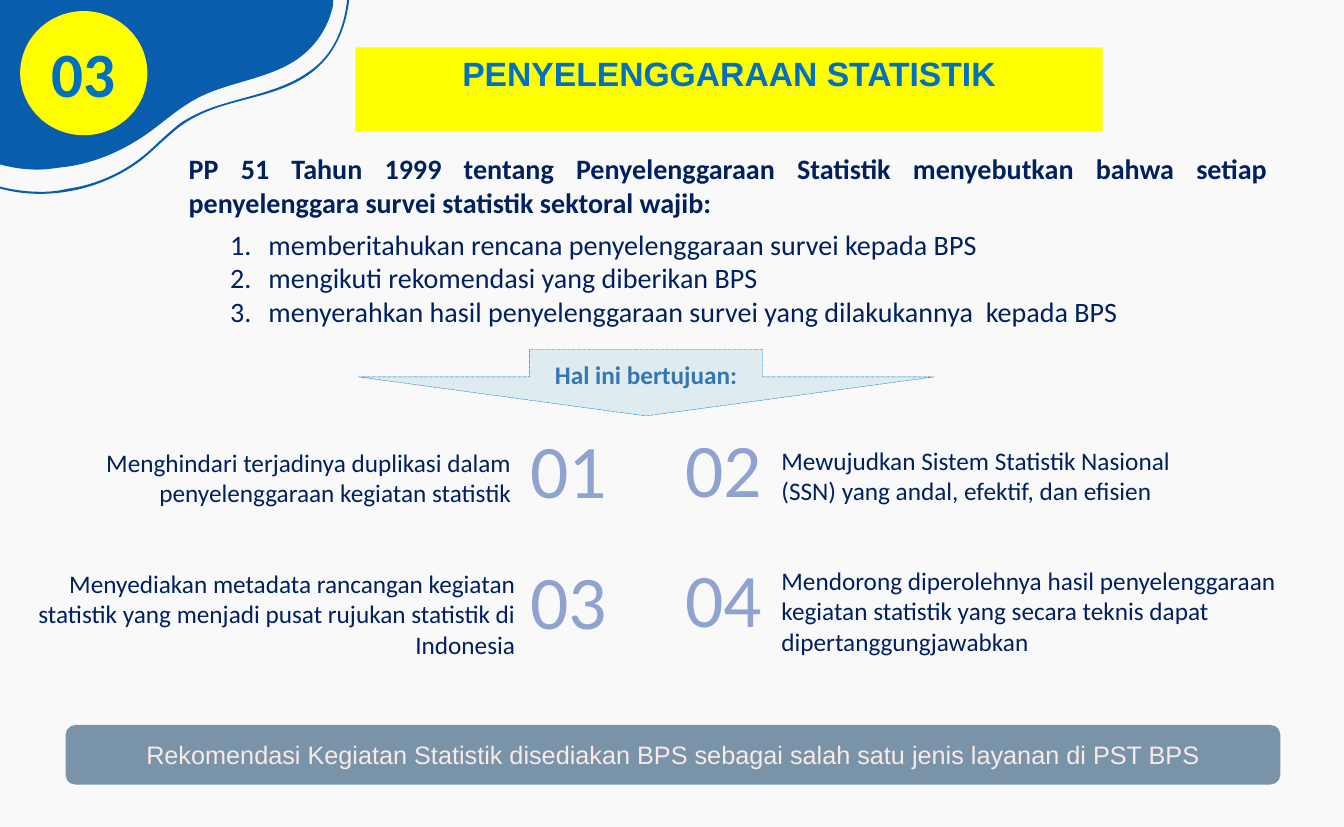
from lxml import etree
from pptx import Presentation
from pptx import util as u
from pptx.dml.color import RGBColor
from pptx.enum import dml, shapes, text
from pptx.oxml.ns import qn

PALE = RGBColor(0xF9, 0xF9, 0xF9)
CORNER_BLUE = RGBColor(0x08, 0x5D, 0xAD)
YELLOW = RGBColor(0xFF, 0xFF, 0x00)
BLUE = RGBColor(0x00, 0x70, 0xC0)
NAVY = RGBColor(0x00, 0x20, 0x60)
ARROW_FILL = RGBColor(0xDE, 0xEC, 0xEF)
ARROW_TEXT = RGBColor(0x34, 0x77, 0xB2)
NUMBER = RGBColor(0x90, 0xA2, 0xCF)
SLATE = RGBColor(0x79, 0x94, 0xA9)
BLUSH = RGBColor(0xF9, 0xE9, 0xE7)

LEFT, CENTER, RIGHT = text.PP_ALIGN.LEFT, text.PP_ALIGN.CENTER, text.PP_ALIGN.RIGHT
TOP, MIDDLE, BOTTOM = text.MSO_ANCHOR.TOP, text.MSO_ANCHOR.MIDDLE, text.MSO_ANCHOR.BOTTOM
FIXED, GROW = text.MSO_AUTO_SIZE.NONE, text.MSO_AUTO_SIZE.SHAPE_TO_FIT_TEXT

CORNER = [(-0.03, -0.02)]
CORNER_EDGE = [
    (-0.03, 1.62), (0.1, 1.66), (0.24, 1.68), (0.38, 1.68), (0.45, 1.68), (0.52, 1.67), (0.59, 1.66),
    (0.9, 1.63), (1.19, 1.51), (1.45, 1.33), (1.62, 1.21), (1.77, 1.07), (1.96, 0.97),
    (2.31, 0.79), (2.75, 0.78), (3.04, 0.51), (3.16, 0.4), (3.25, 0.25), (3.29, 0.09),
    (3.3, 0.06), (3.3, 0.02), (3.3, -0.02)]
RIBBON_INNER = [
    (3.44, -0.02), (3.41, 0.27), (3.31, 0.54), (3.06, 0.71), (2.81, 0.89), (2.5, 0.94), (2.21, 1.03),
    (2.07, 1.07), (1.93, 1.13), (1.8, 1.21), (1.68, 1.3), (1.57, 1.41), (1.46, 1.51),
    (1.24, 1.7), (0.96, 1.83), (0.67, 1.87), (0.59, 1.89), (0.5, 1.9), (0.41, 1.9),
    (0.26, 1.9), (0.11, 1.88), (-0.03, 1.84)]
RIBBON_OUTER = [
    (-0.03, 1.86), (0.11, 1.9), (0.25, 1.92), (0.39, 1.92), (0.73, 1.92), (1.06, 1.82), (1.34, 1.63),
    (1.47, 1.54), (1.57, 1.43), (1.69, 1.33), (1.83, 1.2), (1.99, 1.12), (2.17, 1.06),
    (2.48, 0.96), (2.81, 0.92), (3.07, 0.73), (3.32, 0.55), (3.43, 0.27), (3.46, -0.02)]

INTRO = ("PP 51 Tahun 1999 tentang Penyelenggaraan Statistik menyebutkan bahwa "
         "setiap penyelenggara survei statistik sektoral wajib:")
DUTIES = ["memberitahukan rencana penyelenggaraan survei kepada BPS",
          "mengikuti rekomendasi yang diberikan BPS",
          "menyerahkan hasil penyelenggaraan survei yang dilakukannya  kepada BPS"]
GOALS = [
    ("01", (5.03, 4.33, 1.2, 0.86), (0.62, 4.38, 4.54, 0.71), RIGHT,
     "Menghindari terjadinya duplikasi dalam penyelenggaraan kegiatan statistik"),
    ("02", (6.56, 4.27, 1.21, 0.91), (7.64, 4.36, 4.64, 0.71), LEFT,
     "Mewujudkan Sistem Statistik Nasional (SSN) yang andal, efektif, dan efisien"),
    ("03", (5.03, 5.57, 1.21, 0.91), (0, 5.58, 5.2, 1.01), RIGHT,
     "Menyediakan metadata rancangan kegiatan statistik yang menjadi pusat rujukan statistik di Indonesia"),
    ("04", (6.56, 5.55, 1.21, 0.91), (7.64, 5.55, 5.35, 1.01), LEFT,
     "Mendorong diperolehnya hasil penyelenggaraan kegiatan statistik yang secara teknis "
     "dapat dipertanggungjawabkan"),
]


def inches(place):
    return [u.Inches(value) for value in place]


def set_all(target, values):
    for name, value in values.items():
        setattr(target, name, value)


def paint(shape, color):
    shape.shadow.inherit = False
    shape.fill.solid()
    shape.fill.fore_color.rgb = color
    shape.line.fill.background()


def bend(lines):
    for i in range(0, len(lines), 3):
        curve = etree.Element(qn("a:cubicBezTo"))
        lines[i].addprevious(curve)
        for line in lines[i:i + 3]:
            curve.append(line[0])
            line.getparent().remove(line)


def add_outline(page, *curves):
    start, *rest = [tuple(inches(point)) for curve in curves for point in curve]
    builder = page.shapes.build_freeform(*start)
    builder.add_line_segments(rest, close=True)
    shape = builder.convert_to_shape()
    paint(shape, CORNER_BLUE)
    steps = list(next(shape._element.iter(qn("a:path"))))
    for curve in curves:
        bend(steps[1:len(curve)])
        steps = steps[len(curve):]


def add_shape(page, kind, place, color):
    shape = page.shapes.add_shape(kind, *inches(place))
    paint(shape, color)
    return shape


def prepare(frame, anchor=TOP, inset=0.05, fit=FIXED):
    set_all(frame, {"word_wrap": True, "auto_size": fit, "vertical_anchor": anchor,
                    "margin_left": u.Inches(0.1), "margin_right": u.Inches(0.1),
                    "margin_top": u.Inches(inset), "margin_bottom": u.Inches(inset)})


def write(para, words, size, color, align=LEFT, bold=False, name="Calibri"):
    para.alignment = align
    span = para.add_run()
    span.text = words
    set_all(span.font, {"size": u.Pt(size), "bold": bold, "name": name})
    span.font.color.rgb = color


def add_text(page, place, words, size, color, align=LEFT, bold=False, anchor=TOP, inset=0.05, fit=GROW):
    box = page.shapes.add_textbox(*inches(place))
    prepare(box.text_frame, anchor, inset, fit)
    write(box.text_frame.paragraphs[0], words, size, color, align, bold)


def number(para):
    properties = para._p.get_or_add_pPr()
    properties.set("marL", str(u.Inches(0.79)))
    properties.set("indent", str(u.Inches(-0.38)))
    etree.SubElement(properties, qn("a:buFont"), typeface="+mj-lt")
    etree.SubElement(properties, qn("a:buAutoNum"), type="arabicPeriod")


def add_title(page):
    title = page.shapes.title
    set_all(title, dict(zip(("left", "top", "width", "height"), inches((3.52, 0.47, 7.4, 0.5)))))
    title.fill.solid()
    title.fill.fore_color.rgb = YELLOW
    prepare(title.text_frame, fit=GROW)
    write(title.text_frame.paragraphs[0], "PENYELENGGARAAN STATISTIK", 24, BLUE, CENTER, True, "Arial")


def add_duties(page):
    frame = page.shapes.add_textbox(*inches((1.77, 1.45, 10.88, 1.87))).text_frame
    prepare(frame, fit=GROW)
    intro = frame.paragraphs[0]
    write(intro, INTRO, 20, NAVY, text.PP_ALIGN.JUSTIFY, True)
    intro.space_after = u.Pt(6)
    for duty in DUTIES:
        para = frame.add_paragraph()
        write(para, duty, 20, NAVY)
        number(para)


def add_arrow(page):
    arrow = add_shape(page, shapes.MSO_SHAPE.DOWN_ARROW, (3.55, 3.46, 5.7, 0.66), ARROW_FILL)
    arrow.adjustments[0] = 0.405
    arrow.adjustments[1] = 0.586
    arrow.line.color.rgb = BLUE
    set_all(arrow.line, {"width": u.Pt(0.25), "dash_style": dml.MSO_LINE.ROUND_DOT})
    prepare(arrow.text_frame, MIDDLE)
    write(arrow.text_frame.paragraphs[0], "Hal ini bertujuan:", 18, ARROW_TEXT, CENTER, True)


def add_banner(page):
    banner = add_shape(page, shapes.MSO_SHAPE.FLOWCHART_ALTERNATE_PROCESS, (0.65, 7.18, 12.03, 0.59), SLATE)
    prepare(banner.text_frame, MIDDLE, 0.1)
    write(banner.text_frame.paragraphs[0],
          "Rekomendasi Kegiatan Statistik disediakan BPS sebagai salah satu jenis layanan di PST BPS",
          18, BLUSH, CENTER, name="Arial")


def main():
    deck = Presentation()
    set_all(deck, {"slide_width": u.Inches(13.31), "slide_height": u.Inches(8.19)})
    page = deck.slides.add_slide(deck.slide_layouts[5])
    page.background.fill.solid()
    page.background.fill.fore_color.rgb = PALE
    add_outline(page, CORNER, CORNER_EDGE)
    add_outline(page, RIBBON_INNER, RIBBON_OUTER)
    add_shape(page, shapes.MSO_SHAPE.OVAL, (0.2, 0.11, 1.26, 1.23), YELLOW)
    add_text(page, (0.41, 0.29, 1.02, 0.86), "03", 45, BLUE, bold=True)
    add_title(page)
    add_duties(page)
    add_arrow(page)
    for label, label_place, goal_place, align, goal in GOALS:
        add_text(page, goal_place, goal, 18, NAVY, align)
        add_text(page, label_place, label, 54, NUMBER, CENTER, anchor=BOTTOM, inset=0.1, fit=FIXED)
    add_banner(page)
    deck.save("out.pptx")


if __name__ == "__main__":
    main()
